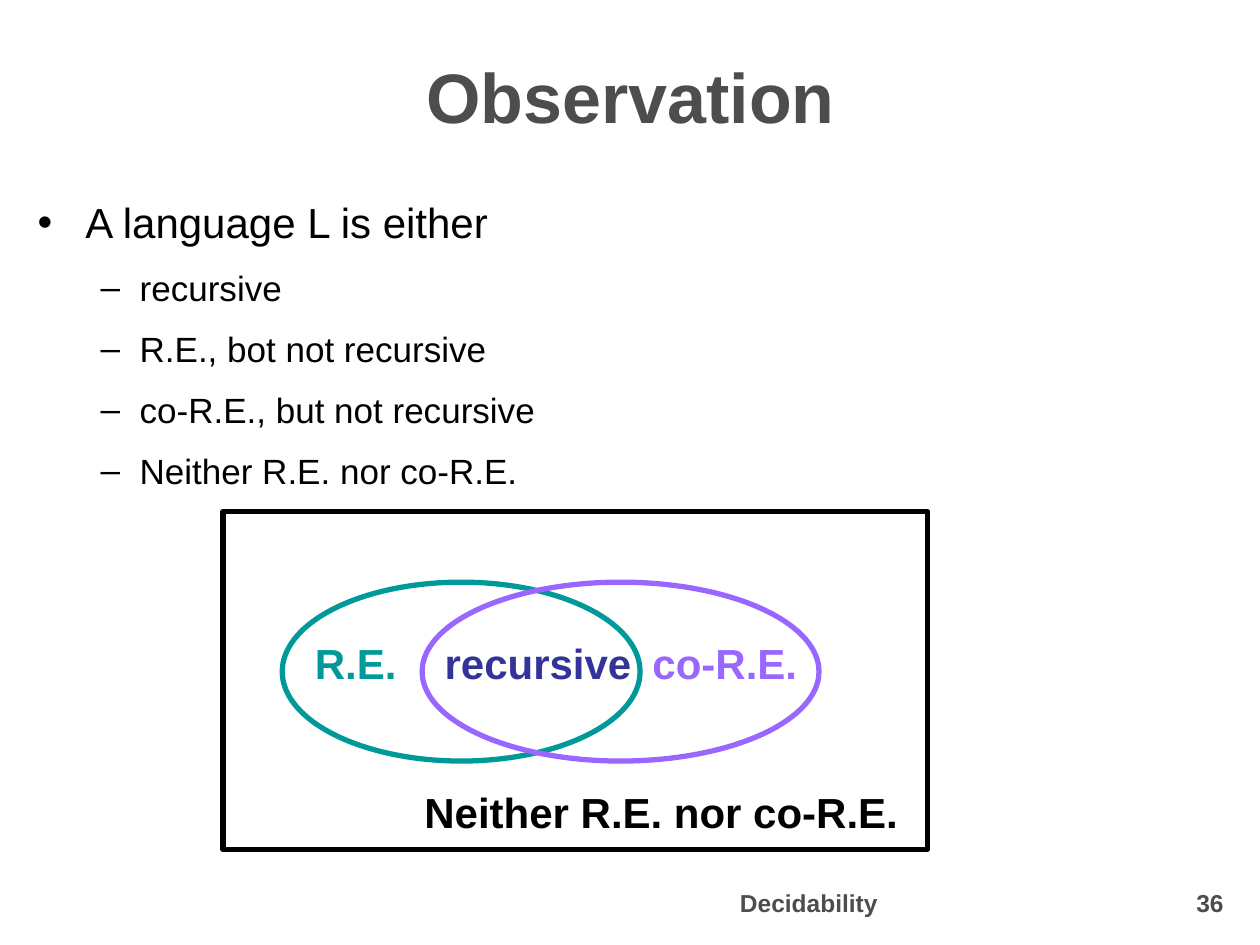
from lxml.etree import SubElement
from pptx import Presentation
from pptx.dml.color import RGBColor
from pptx.enum.shapes import MSO_SHAPE
from pptx.enum.text import MSO_ANCHOR, PP_ALIGN
from pptx.oxml.ns import qn
from pptx.util import Inches, Pt

COLORS = {
    "black": "000000",
    "gray": "4D4D4D",
    "teal": "009999",
    "violet": "9966FF",
    "navy": "333399",
}
# Bullet character, left margin, hanging indent, text size, space before
LEVELS = [
    ("•", 0.38, 0.38, 24, 0),
    ("–", 0.81, 0.31, 20, 8.6),
]
BULLETS = [
    (0, "A language L is either"),
    (1, "recursive"),
    (1, "R.E., bot not recursive"),
    (1, "co-R.E., but not recursive"),
    (1, "Neither R.E. nor co-R.E."),
]


def place(shape, left, top, width, height):
    box = {"left": left, "top": top, "width": width, "height": height}
    for name, value in box.items():
        setattr(shape, name, Inches(value))


def format_font(font, size, color, bold=True):
    values = {"name": "Arial", "size": Pt(size), "bold": bold}
    for name, value in values.items():
        setattr(font, name, value)
    font.color.rgb = RGBColor.from_string(COLORS[color])


def write_line(shape, text, size, color, align=PP_ALIGN.LEFT,
               anchor=MSO_ANCHOR.TOP, wrap=True):
    frame = shape.text_frame
    frame.word_wrap = wrap
    frame.vertical_anchor = anchor
    paragraph = frame.paragraphs[0]
    paragraph.text = text
    paragraph.alignment = align
    format_font(paragraph.font, size, color)


def add_text(slide, box, *content, **layout):
    shape = slide.shapes.add_textbox(*map(Inches, box))
    write_line(shape, *content, **layout)


def add_outline(slide, kind, box, color):
    shape = slide.shapes.add_shape(kind, *map(Inches, box))
    shape.shadow.inherit = False
    shape.fill.background()
    shape.line.color.rgb = RGBColor.from_string(COLORS[color])
    shape.line.width = Pt(3)


def add_bullet(paragraph, level, text):
    character, margin, hanging, size, space = LEVELS[level]
    paragraph.text = text
    paragraph.level = level
    paragraph.line_spacing = 1.1
    paragraph.space_before = Pt(space)
    properties = paragraph._p.get_or_add_pPr()
    properties.set("marL", str(Inches(margin)))
    properties.set("indent", str(-Inches(hanging)))
    bullet_color = SubElement(properties, qn("a:buClr"))
    SubElement(bullet_color, qn("a:srgbClr"), val=COLORS["black"])
    SubElement(properties, qn("a:buFont"), typeface="Arial")
    SubElement(properties, qn("a:buChar"), char=character)
    format_font(paragraph.font, size, "black", bold=False)


def add_bullets(slide, box):
    frame = slide.shapes.add_textbox(*map(Inches, box)).text_frame
    frame.word_wrap = True
    for index, (level, text) in enumerate(BULLETS):
        paragraph = frame.add_paragraph() if index else frame.paragraphs[0]
        add_bullet(paragraph, level, text)


def add_venn_diagram(slide):
    # Two overlapping classes inside the set of all languages
    add_outline(slide, MSO_SHAPE.OVAL, (2.24, 4.62, 2.84, 1.42), "teal")
    add_outline(slide, MSO_SHAPE.OVAL, (3.35, 4.62, 3.15, 1.42), "violet")
    add_outline(slide, MSO_SHAPE.RECTANGLE, (1.77, 4.06, 5.59, 2.68), "black")
    # Region labels
    labels = [
        ("recursive", 3.43, 5.01, 1.68, "navy"),
        ("co-R.E.", 5.08, 5.01, 1.35, "violet"),
        ("R.E.", 2.4, 5.01, 0.85, "teal"),
        ("Neither R.E. nor co-R.E.", 3.27, 6.19, 3.96, "black"),
    ]
    for text, left, top, width, color in labels:
        add_text(slide, (left, top, width, 0.5), text, 24, color, wrap=False)


def main():
    presentation = Presentation()
    presentation.slide_width = Inches(10)
    presentation.slide_height = Inches(7.5)
    slide = presentation.slides.add_slide(presentation.slide_layouts[5])

    # Title and list
    title = slide.shapes.title
    place(title, 0.2, 0.21, 9.61, 1.1)
    write_line(title, "Observation", 40, "gray",
               PP_ALIGN.CENTER, MSO_ANCHOR.MIDDLE)
    add_bullets(slide, (0.2, 1.47, 9.61, 2.63))

    add_venn_diagram(slide)

    # Footer and slide number
    add_text(slide, (3.82, 6.98, 5.2, 0.37), "Decidability", 14, "gray",
             align=PP_ALIGN.CENTER, anchor=MSO_ANCHOR.MIDDLE)
    add_text(slide, (9.1, 6.98, 0.71, 0.37), "36", 14, "gray",
             align=PP_ALIGN.RIGHT, anchor=MSO_ANCHOR.MIDDLE)

    presentation.save("out.pptx")


if __name__ == "__main__":
    main()
